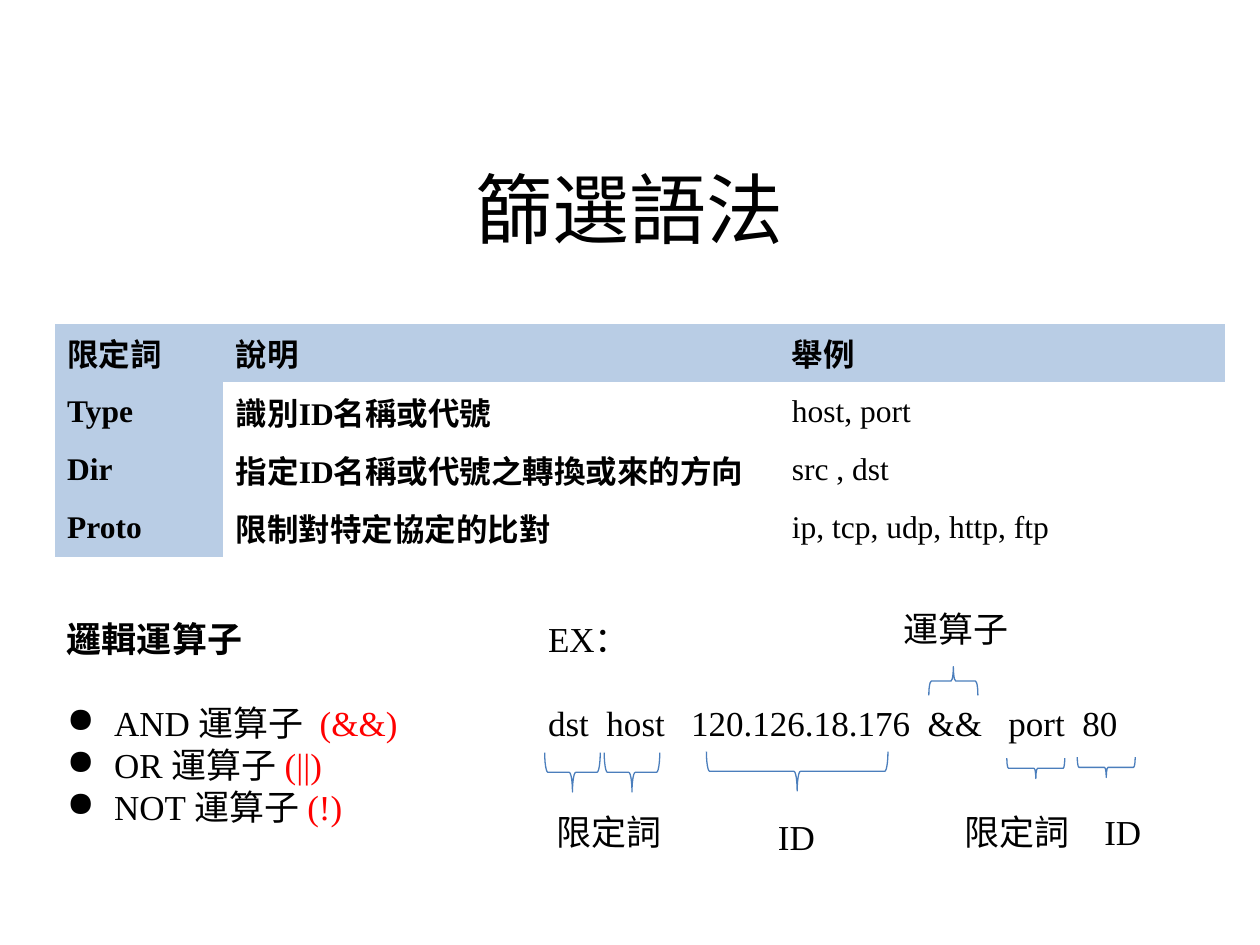
"""Build a slide on filter syntax: qualifier table, operators and a worked example."""
from dataclasses import dataclass

from lxml.etree import SubElement
from pptx import Presentation
from pptx.dml.color import RGBColor as RGB
from pptx.enum.shapes import MSO_SHAPE as Shape
from pptx.enum.text import MSO_ANCHOR as Anchor, PP_ALIGN as Align
from pptx.oxml.ns import qn
from pptx.util import Cm, Pt


@dataclass(frozen=True)
class Theme:
    font: str = "Times New Roman"
    text: RGB = RGB(0x00, 0x00, 0x00)
    accent: RGB = RGB(0xFF, 0x00, 0x00)
    header: RGB = RGB(0xB9, 0xCD, 0xE5)
    brace: RGB = RGB(0x4B, 0x7E, 0xBC)
    title_size: int = 44
    table_size: int = 18
    body_size: int = 20
    gap: int = 24
    brace_width: float = 0.75


T = Theme()
NO_TABLE_STYLE = "{2D5ABB26-0587-4C30-8999-92F81FD0307C}"
ROWS = [
    ("限定詞", "說明", "舉例"),
    ("Type", "識別ID名稱或代號", "host, port"),
    ("Dir", "指定ID名稱或代號之轉換或來的方向", "src , dst"),
    ("Proto", "限制對特定協定的比對", "ip, tcp, udp, http, ftp"),
]
OPERATORS = [("AND 運算子  ", "(&&)"), ("OR 運算子 ", "(||)"), ("NOT 運算子 ", "(!)")]
LABELS = [
    ("限定詞", 0.17, 3.89, 2.92, Align.LEFT),
    ("ID", 4.01, 3.99, 2.49, Align.CENTER),
    ("限定詞", 8.40, 3.89, 2.69, Align.LEFT),
    ("ID", 10.92, 3.89, 1.83, Align.CENTER),
    ("運算子", 7.16, -0.20, 2.92, Align.LEFT),
]
BRACES = [
    (0.74, 3.25, 1.12, 0.79, 90),
    (1.94, 3.25, 1.12, 0.79, 90),
    (5.27, 3.23, 3.66, 0.79, 90),
    (10.08, 3.17, 1.17, 0.41, 90),
    (11.50, 3.15, 1.17, 0.41, 90),
    (8.42, 1.41, 0.99, 0.58, 270),
]


def style(p, size, bold=False, color=T.text):
    """Format every run of a paragraph."""
    for r in p.runs:
        f = r.font
        f.name, f.size, f.bold = T.font, Pt(size), bold
        f.color.rgb = color


def add_text(s, x, y, w, h, lines, bold=False, align=Align.LEFT):
    """Add a wrapping text box with one paragraph per line."""
    tf = s.shapes.add_textbox(Cm(x), Cm(y), Cm(w), Cm(h)).text_frame
    tf.word_wrap = True
    tf.text = "\n".join(lines)
    for p in tf.paragraphs:
        p.alignment = align
        style(p, T.body_size, bold)
    return tf


def add_bullet(p):
    """Give a paragraph a hanging round bullet."""
    pPr = p._p.get_or_add_pPr()
    pPr.set("marL", str(Cm(0.95)))
    pPr.set("indent", str(-Cm(0.95)))
    SubElement(pPr, qn("a:buChar")).set("char", "●")


def add_brace(s, cx, cy, span, depth, rotation):
    """Add a turned brace centred on a point."""
    sp = s.shapes.add_shape(Shape.RIGHT_BRACE, Cm(cx - depth / 2), Cm(cy - span / 2),
                            Cm(depth), Cm(span))
    sp.rotation = rotation
    sp.shadow.inherit = False
    sp.fill.background()
    sp.line.color.rgb = T.brace
    sp.line.width = Pt(T.brace_width)


def add_title(s, x, y, w, h):
    """Place and format the title placeholder."""
    sp = s.shapes.title
    sp.left, sp.top, sp.width, sp.height = Cm(x), Cm(y), Cm(w), Cm(h)
    tf = sp.text_frame
    tf.text = "篩選語法"
    tf.vertical_anchor = Anchor.MIDDLE
    tf.paragraphs[0].alignment = Align.CENTER
    style(tf.paragraphs[0], T.title_size)


def add_qualifiers(s, x, y, w, h):
    """Add the qualifier table with a tinted first row and column."""
    tbl = s.shapes.add_table(len(ROWS), 3, Cm(x), Cm(y), Cm(w), Cm(h)).table
    tbl.horz_banding = False
    tbl._tbl.tblPr.find(qn("a:tableStyleId")).text = NO_TABLE_STYLE
    for col, share in zip(tbl.columns, (0.144, 0.475, 0.381)):
        col.width = Cm(round(w * share, 2))
    for i, row in enumerate(ROWS):
        for j, text in enumerate(row):
            cell = tbl.cell(i, j)
            cell.text = text
            cell.vertical_anchor = Anchor.MIDDLE
            if i == 0 or j == 0:
                cell.fill.solid()
                cell.fill.fore_color.rgb = T.header
            else:
                cell.fill.background()
            style(cell.text_frame.paragraphs[0], T.table_size, i == 0 or j < 2)


def add_operators(s, x, y, w, h):
    """Add the heading and bulleted list of logical operators."""
    tf = add_text(s, x, y, w, h, ["邏輯運算子"], bold=True)
    tf.paragraphs[0].space_after = Pt(T.gap)
    for name, symbol in OPERATORS:
        p = tf.add_paragraph()
        p.text = name
        p.add_run().text = symbol
        style(p, T.body_size)
        p.runs[1].font.color.rgb = T.accent
        add_bullet(p)


def add_example(s, x, y, w, h):
    """Add the sample filter with braces and labels for its parts."""
    lines = ["EX：", "dst  host   120.126.18.176  &&   port  80"]
    add_text(s, x, y, w, h, lines).paragraphs[0].space_after = Pt(T.gap)
    for cx, cy, span, depth, rotation in BRACES:
        add_brace(s, x + cx, y + cy, span, depth, rotation)
    for text, dx, dy, width, align in LABELS:
        add_text(s, x + dx, y + dy, width, 1.11, [text], align=align)


def main():
    """Build and save the slide."""
    prs = Presentation()
    prs.slide_width, prs.slide_height = Cm(25.4), Cm(19.05)
    s = prs.slides.add_slide(prs.slide_layouts[5])
    add_title(s, 1.27, 2.59, 22.86, 3.18)
    add_qualifiers(s, 1.1, 6.53, 23.6, 4.7)
    add_operators(s, 1.1, 12.32, 7.39, 4.52)
    add_example(s, 10.8, 12.32, 12.4, 2.82)
    prs.save("out.pptx")


if __name__ == "__main__":
    main()
